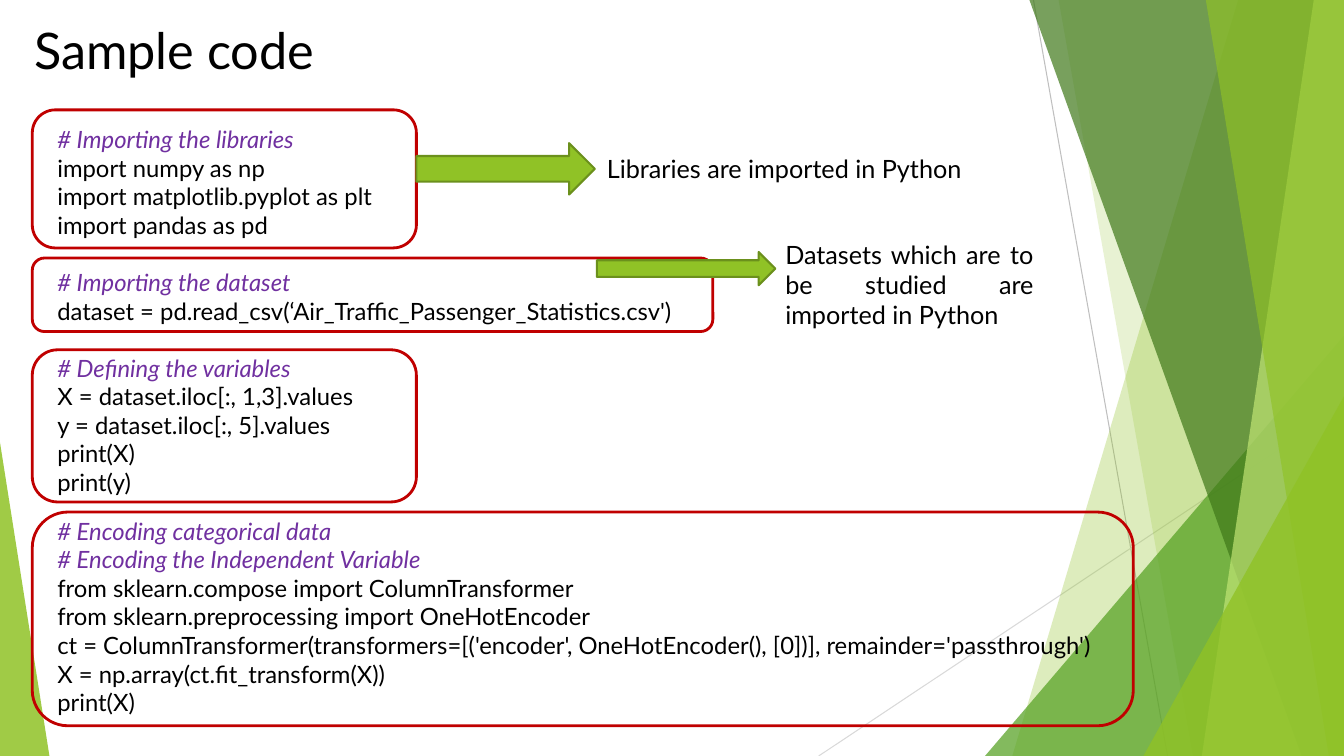
"""Build the sample code slide with annotated Python listings."""
from lxml.etree import SubElement
from pptx import Presentation
from pptx.dml.color import RGBColor
from pptx.enum.shapes import MSO_CONNECTOR, MSO_SHAPE
from pptx.enum.text import PP_ALIGN
from pptx.oxml.ns import qn
from pptx.util import Inches, Pt


def paint(fill, color):
    fill.solid()
    fill.fore_color.rgb = RGBColor.from_string(color)


def add_text(left, top, width, height, lines, size):
    box = page.shapes.add_textbox(Inches(left), Inches(top), Inches(width), Inches(height))
    box.text_frame.word_wrap = True
    for index, line in enumerate(lines):
        para = box.text_frame.paragraphs[0] if index == 0 else box.text_frame.add_paragraph()
        span = para.add_run()
        span.text = line
        span.font.name = "Lato"
        span.font.size = Pt(size)
        span.font.italic = line.startswith("#")
        paint(span.font.fill, "7030A0" if span.font.italic else "000000")
    return box


deck = Presentation()
deck.slide_width, deck.slide_height = Inches(13.33), Inches(7.5)
page = deck.slides.add_slide(deck.slide_layouts[6])

for x1, y1, x2, y2, color in [
    (10.25, 0, 11.58, 7.5, "BFBFBF"),
    (13.33, 4.03, 8.12, 7.5, "D9D9D9"),
]:
    ray = page.shapes.add_connector(
        MSO_CONNECTOR.STRAIGHT, Inches(x1), Inches(y1), Inches(x2), Inches(y2))
    paint(ray.line.fill, color)
    ray.line.width = Pt(0.75)
    SubElement(ray.element.spPr, qn("a:effectLst"))

right_edge = [(13.33, 0), (13.33, 7.5)]
facets = [
    ([(12.28, 0), *right_edge, (10.04, 7.5)], "90C226", 30),
    ([(10.5, 0), *right_edge, (11.83, 7.5)], "90C226", 20),
    ([(13.33, 3.33), (13.33, 7.5), (9.77, 7.5)], "54A021", 72),
    ([(10.21, 0), *right_edge, (12.91, 7.5)], "3F7819", 70),
    ([(13.03, 0), *right_edge, (11.92, 7.5)], "C0E474", 70),
    ([(11.96, 0), *right_edge, (13.18, 7.5)], "90C226", 65),
    ([(13.33, 3.93), (13.33, 7.5), (11.34, 7.5)], "90C226", 80),
    ([(0, 4.39), (0.49, 7.5), (0, 7.5)], "90C226", 85),
]
for corners, color, opacity in facets:
    if len(corners) == 3:
        (apex, top), (right, bottom), (left, bottom) = corners
        left, right = min(left, right), max(left, right)
        facet = page.shapes.add_shape(
            MSO_SHAPE.ISOSCELES_TRIANGLE, Inches(left), Inches(top),
            Inches(right - left), Inches(bottom - top))
        facet.adjustments[0] = (apex - left) / (right - left)
    else:
        points = [(Inches(x), Inches(y)) for x, y in corners]
        builder = page.shapes.build_freeform(*points[0])
        builder.add_line_segments(points[1:], close=True)
        facet = builder.convert_to_shape()
    facet.shadow.inherit = False
    paint(facet.fill, color)
    tint = facet.element.spPr.find(".//" + qn("a:srgbClr"))
    SubElement(tint, qn("a:alpha")).set("val", str(opacity * 1000))
    facet.line.fill.background()

add_text(0.24, 0.14, 10.11, 0.95, ["Sample code"], 36)

code = [
    "# Importing the libraries",
    "import numpy as np",
    "import matplotlib.pyplot as plt",
    "import pandas as pd",
    "# Importing the dataset",
    "dataset = pd.read_csv(‘Air_Traffic_Passenger_Statistics.csv')",
    "# Defining the variables",
    "X = dataset.iloc[:, 1,3].values",
    "y = dataset.iloc[:, 5].values",
    "print(X)",
    "print(y)",
    "# Encoding categorical data",
    "# Encoding the Independent Variable",
    "from sklearn.compose import ColumnTransformer",
    "from sklearn.preprocessing import OneHotEncoder",
    "ct = ColumnTransformer(transformers=[('encoder', OneHotEncoder(), [0])], "
    "remainder='passthrough')",
    "X = np.array(ct.fit_transform(X))",
    "print(X)",
]
listing = add_text(0.47, 1.19, 11.65, 6.13, code, 17)
section_gaps = {
    "# Importing the dataset": 20.4,
    "# Defining the variables": 20.4,
    "# Encoding categorical data": 14.4,
}
for para in listing.text_frame.paragraphs:
    if para.text in section_gaps:
        para.space_before = Pt(section_gaps[para.text])

dataset_note = add_text(
    7.69, 2.32, 2.66, 1.01, ["Datasets which are to be studied are imported in Python"], 18)
dataset_note.text_frame.paragraphs[0].alignment = PP_ALIGN.JUSTIFY
add_text(5.92, 1.47, 3.88, 0.4, ["Libraries are imported in Python"], 18)

for top, width, height in [
    (1.09, 3.81, 1.37), (2.56, 6.75, 0.73), (3.47, 3.81, 1.51), (5.08, 10.92, 2.12),
]:
    frame = page.shapes.add_shape(
        MSO_SHAPE.ROUNDED_RECTANGLE, Inches(0.32), Inches(top), Inches(width), Inches(height))
    frame.shadow.inherit = False
    frame.fill.background()
    paint(frame.line.fill, "C00000")
    frame.line.width = Pt(2)

for left, top, height in [(4.13, 1.42, 0.51), (5.92, 2.5, 0.33)]:
    arrow = page.shapes.add_shape(
        MSO_SHAPE.RIGHT_ARROW, Inches(left), Inches(top), Inches(1.77), Inches(height))
    arrow.shadow.inherit = False
    paint(arrow.fill, "90C226")
    paint(arrow.line.fill, "6B901C")
    arrow.line.width = Pt(1.5)

deck.save("out.pptx")
